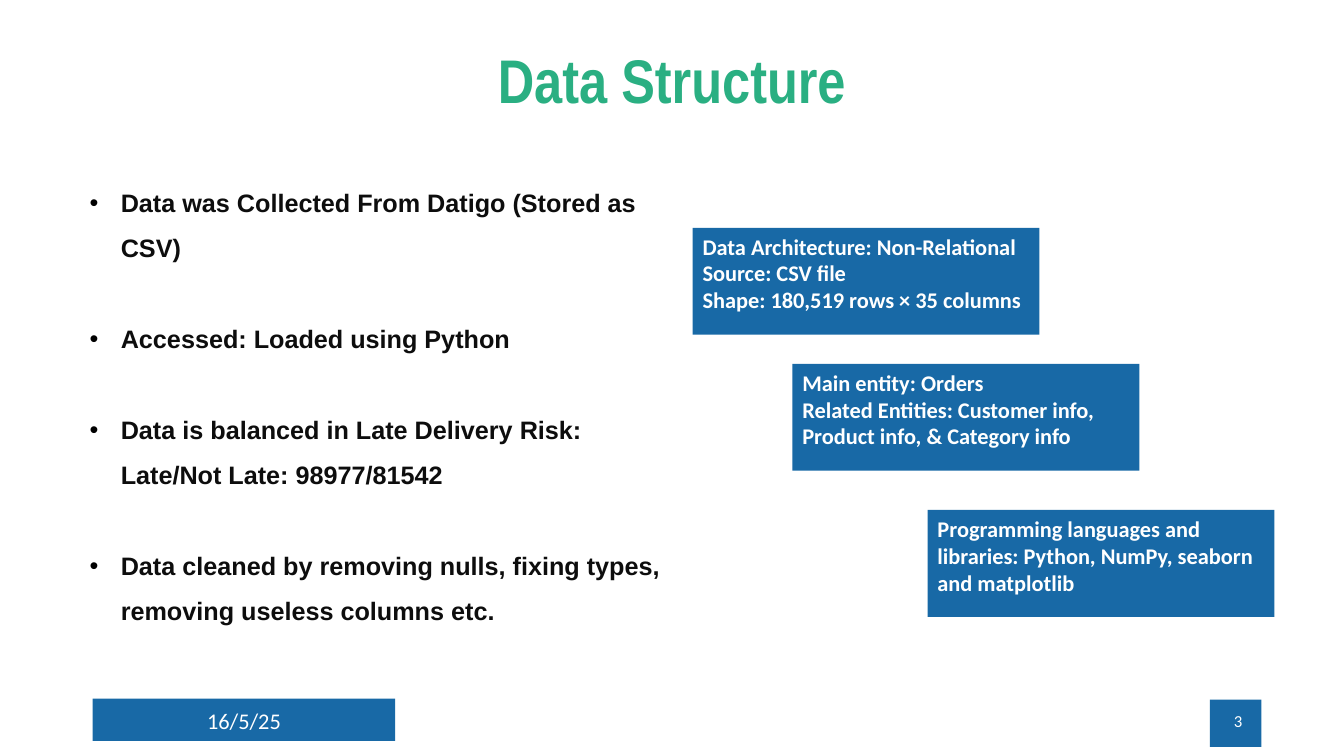
import pptx
import pptx.util
import pptx.dml.color
import pptx.enum.shapes
import pptx.enum.text
from lxml import etree

ALIGN = pptx.enum.text.PP_ALIGN
ANCHOR = pptx.enum.text.MSO_ANCHOR
INCH = pptx.util.Inches
BLUE, GREEN, WHITE, INK, BLACK = "1869A6", "2AAF82", "FFFFFF", "0D0D0D", "000000"

# Content
TITLE = "Data Structure"
DATE, NUMBER = "16/5/25", "3"
BULLETS = [
    "Data was Collected From Datigo (Stored as CSV)",
    "Accessed: Loaded using Python",
    "Data is balanced in Late Delivery Risk: Late/Not Late: 98977/81542",
    "Data cleaned by removing nulls, fixing types, removing useless columns etc.",
]
# Cards: left, top, text
CARD_W, CARD_H = 3.44, 1.06
CARDS = [
    (6.87, 2.26, "Data Architecture: Non-Relational\vSource: CSV file\v"
                 "Shape: 180,519 rows × 35 columns"),
    (7.86, 3.61, "Main entity: Orders\n"
                 "Related Entities: Customer info, Product info, & Category info"),
    (9.2, 5.06, "Programming languages and libraries: Python, NumPy, seaborn and matplotlib"),
]
FOOTER_TOP, FOOTER_H = 6.95, 0.4
LINE_PITCH = 32.4  # points, one body line


def color(value):
    return pptx.dml.color.RGBColor.from_string(value)


def write(sp, text, size, font, ink, bold=False, align=ALIGN.LEFT, anchor=ANCHOR.TOP):
    tf = sp.text_frame
    tf.word_wrap = True
    tf.vertical_anchor = anchor
    tf.text = text
    for p in tf.paragraphs:
        p.alignment = align
        for r in p.runs:
            r.font.size, r.font.name, r.font.bold = pptx.util.Pt(size), font, bold
            r.font.color.rgb = color(ink)
    return tf


def add_block(s, *box):
    sp = s.shapes.add_shape(pptx.enum.shapes.MSO_SHAPE.RECTANGLE, *map(INCH, box))
    sp.shadow.inherit = False
    sp.fill.solid()
    sp.fill.fore_color.rgb = color(BLUE)
    sp.line.fill.background()
    return sp


def add_text(s, box, *args, **kwargs):
    return write(s.shapes.add_textbox(*map(INCH, box)), *args, **kwargs)


def add_bullet(p):
    pPr = p._p.get_or_add_pPr()
    pPr.set("marL", str(INCH(0.51)))
    pPr.set("indent", str(INCH(-0.31)))
    tint = etree.SubElement(pPr, pptx.oxml.ns.qn("a:buClr"))
    etree.SubElement(tint, pptx.oxml.ns.qn("a:srgbClr"), val=BLACK)
    etree.SubElement(pPr, pptx.oxml.ns.qn("a:buFont"), typeface="Arial")
    etree.SubElement(pPr, pptx.oxml.ns.qn("a:buChar"), char="•")


prs = pptx.Presentation()
prs.slide_width, prs.slide_height = INCH(13.33), INCH(7.5)
s = prs.slides.add_slide(prs.slide_layouts[6])

# Footer: date and slide number
add_block(s, 0.92, 6.93, 3, 0.42)
add_block(s, 12, 6.94, 0.51, 0.47)
add_text(s, (0.92, FOOTER_TOP, 3, FOOTER_H), DATE, 16, "Calibri", WHITE,
         align=ALIGN.CENTER, anchor=ANCHOR.MIDDLE)
add_text(s, (9.42, FOOTER_TOP, 3, FOOTER_H), NUMBER, 12, "Calibri", WHITE,
         align=ALIGN.RIGHT, anchor=ANCHOR.MIDDLE)

# Stepped cards
for left, top, text in CARDS:
    write(add_block(s, left, top, CARD_W, CARD_H), text, 16, "Calibri", WHITE, bold=True)

# Title
tf = add_text(s, (3.34, 0.4, 6.65, 0.85), TITLE, 44, "Arial Narrow", GREEN, bold=True,
              align=ALIGN.CENTER, anchor=ANCHOR.MIDDLE)
tf.paragraphs[0].line_spacing = 0.9

# Bulleted body, one blank line's height between items
tf = add_text(s, (0.59, 1.66, 6.16, 4.59), "\n".join(BULLETS), 18, "Arial", INK, bold=True)
for p in tf.paragraphs:
    p.line_spacing = 1.5
    if p.text != BULLETS[-1]:
        p.space_after = pptx.util.Pt(LINE_PITCH)
    add_bullet(p)

prs.save("out.pptx")
